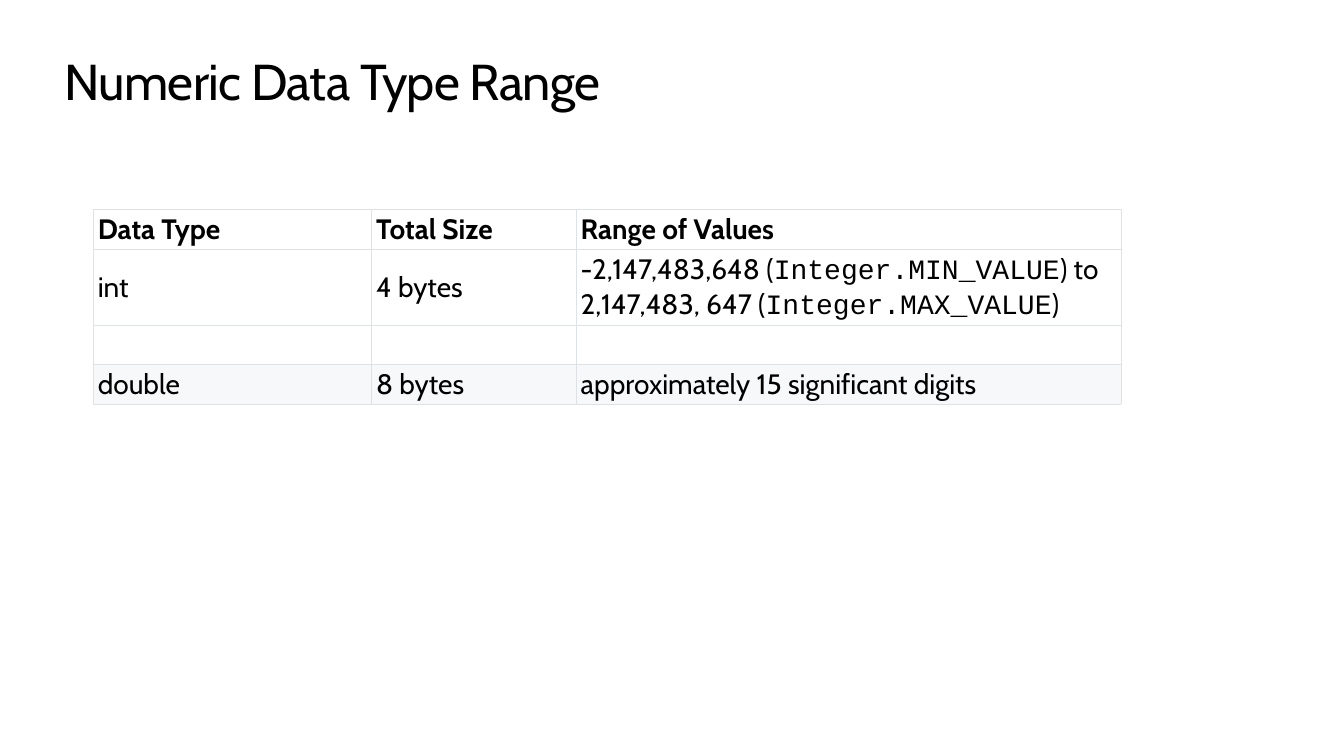
import pptx
import pptx.util
import pptx.dml.color
import pptx.enum.text
import pptx.oxml
import pptx.oxml.ns

Inches = pptx.util.Inches
Pt = pptx.util.Pt
Anchor = pptx.enum.text.MSO_ANCHOR

HUES = {"text": "000000", "plain": "FFFFFF", "band": "F6F8FA", "rule": "DFE2E5"}
WIDTHS = [2.76, 2.03, 5.41]
HEIGHTS = [0.39, 0.75, 0.39, 0.39]
ROWS = [
    ["Data Type", "Total Size", "Range of Values"],
    ["int", "4 bytes",
     "-2,147,483,648 (|Integer.MIN_VALUE|) to 2,147,483, 647 (|Integer.MAX_VALUE|)"],
    ["", "", ""],
    ["double", "8 bytes", "approximately 15 significant digits"],
]


class Deck:
    face = "Cabin"
    mono = "Courier New"

    def __init__(self):
        self.prs = pptx.Presentation()
        self.prs.slide_width = Inches(13.33)
        self.prs.slide_height = Inches(7.5)
        self.slide = self.prs.slides.add_slide(self.prs.slide_layouts[5])

    def color(self, name):
        return pptx.dml.color.RGBColor.from_string(HUES[name])

    def style(self, run, size, face, bold=False):
        run.font.size = Pt(size)
        run.font.name = face
        run.font.bold = bold
        run.font.color.rgb = self.color("text")

    def title(self, text, left, top, width, height):
        shape = self.slide.shapes.title
        shape.left, shape.top = Inches(left), Inches(top)
        shape.width, shape.height = Inches(width), Inches(height)
        frame = shape.text_frame
        frame.margin_left = frame.margin_right = 0
        frame.margin_top = frame.margin_bottom = 0
        frame.vertical_anchor = Anchor.TOP
        frame.word_wrap = True
        frame.auto_size = pptx.enum.text.MSO_AUTO_SIZE.SHAPE_TO_FIT_TEXT
        frame.text = text
        line = frame.paragraphs[0]
        line.alignment = pptx.enum.text.PP_ALIGN.LEFT
        run = line.runs[0]
        self.style(run, 36, self.face)
        run.font._element.set("spc", "-50")

    def table(self, rows, left, top):
        grid = self.slide.shapes.add_table(
            len(rows), len(WIDTHS), Inches(left), Inches(top),
            Inches(sum(WIDTHS)), Inches(sum(HEIGHTS))).table
        grid.first_row = grid.horz_banding = False
        for col, width in zip(grid.columns, WIDTHS):
            col.width = Inches(width)
        for index, (row, height) in enumerate(zip(grid.rows, HEIGHTS)):
            row.height = Inches(height)
            fill = "band" if index == len(rows) - 1 else "plain"
            for cell, text in zip(row.cells, rows[index]):
                self.cell(cell, text, fill, index == 0)

    def cell(self, cell, text, fill, bold):
        cell.margin_left = cell.margin_right = Inches(0.05)
        cell.margin_top = cell.margin_bottom = Inches(0.03)
        cell.vertical_anchor = Anchor.MIDDLE
        self.border(cell)
        cell.fill.solid()
        cell.fill.fore_color.rgb = self.color(fill)
        if text:
            line = cell.text_frame.paragraphs[0]
            for index, part in enumerate(text.split("|")):
                run = line.add_run()
                run.text = part
                self.style(run, 20, self.mono if index % 2 else self.face, bold)

    def border(self, cell):
        space = pptx.oxml.ns.nsdecls("a")
        for side in "LRTB":
            cell._tc.get_or_add_tcPr().append(pptx.oxml.parse_xml(
                f'<a:ln{side} {space} w="{Pt(0.3)}"><a:solidFill>'
                f'<a:srgbClr val="{HUES["rule"]}"/></a:solidFill></a:ln{side}>'))


def main():
    deck = Deck()
    deck.title("Numeric Data Type Range", 0.64, 0.5, 12.05, 0.61)
    deck.table(ROWS, 0.92, 2.08)
    deck.prs.save("out.pptx")


if __name__ == "__main__":
    main()
